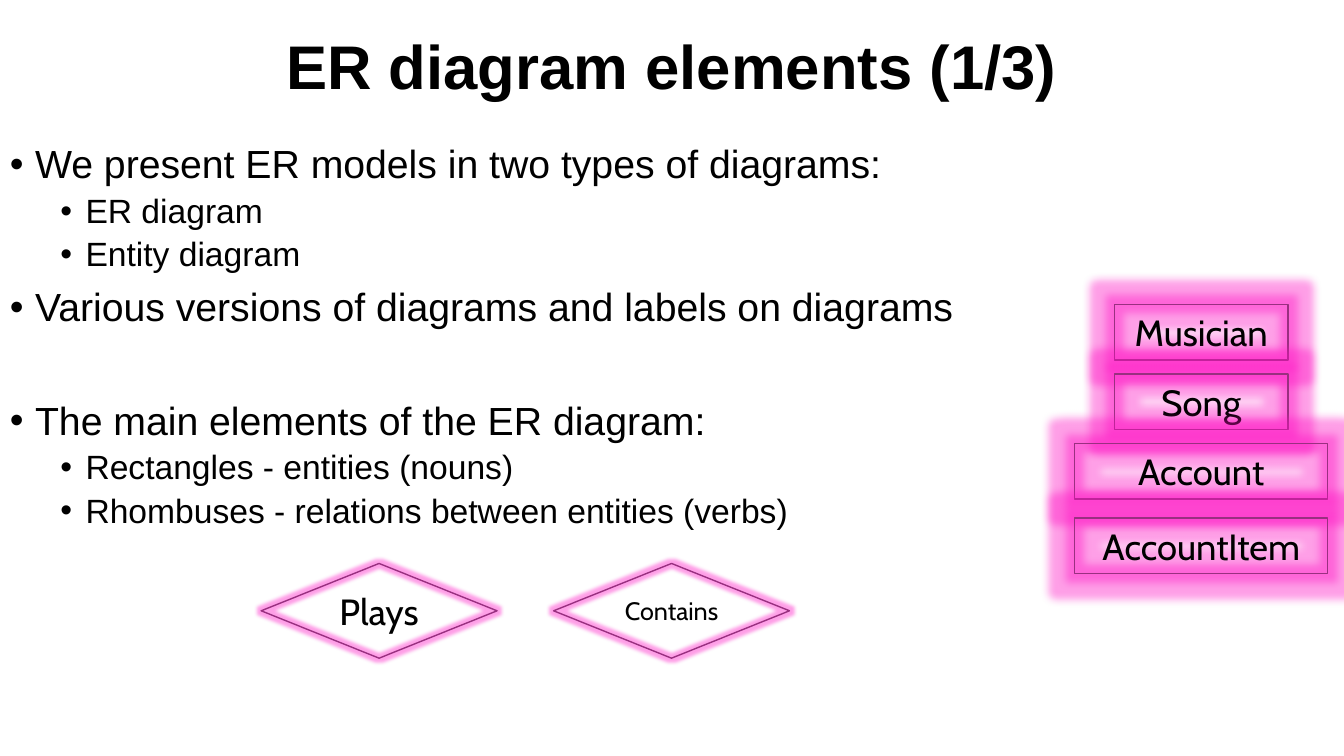
from dataclasses import dataclass

from lxml.etree import SubElement
from pptx import Presentation
from pptx.dml.color import RGBColor
from pptx.enum.shapes import MSO_SHAPE
from pptx.enum.text import MSO_ANCHOR, PP_ALIGN
from pptx.oxml.ns import qn
from pptx.util import Inches, Pt


@dataclass(frozen=True)
class Theme:
    """Colours, fonts and type sizes of the deck."""
    ink: RGBColor = RGBColor(0, 0, 0)
    outline: RGBColor = RGBColor(0x99, 0x30, 0x80)
    glow: str = "FF0FC4"
    glow_opacity: int = 40
    text_font: str = "Arial"
    label_font: str = "Cabin"
    title_size: int = 44
    bullet_sizes: tuple = (28, 24)
    bullet_gaps: tuple = (10, 5)
    section_gap: int = 51
    label_size: int = 26
    small_label_size: int = 18


@dataclass(frozen=True)
class Box:
    """A rectangle on the page."""
    left: int
    top: int
    width: int
    height: int

    def inner(self, left, top, width, height):
        """Return an inner box given in percent of this one."""
        return Box(int(self.left + self.width * left / 100),
                   int(self.top + self.height * top / 100),
                   int(self.width * width / 100),
                   int(self.height * height / 100))

    def frame(self):
        """Return the four lengths in the order shapes take them."""
        return self.left, self.top, self.width, self.height


THEME = Theme()


def style(font, name, size, bold=False):
    """Set the typeface, size and ink of a font."""
    font.name, font.size, font.bold = name, Pt(size), bold
    font.color.rgb = THEME.ink


def add_title(page, box, text):
    """Place the centred slide title."""
    frame = page.shapes.add_textbox(*box.frame()).text_frame
    frame.word_wrap = True
    frame.vertical_anchor = MSO_ANCHOR.MIDDLE
    frame.text = text
    para = frame.paragraphs[0]
    para.alignment, para.line_spacing = PP_ALIGN.CENTER, 0.9
    style(para.runs[0].font, THEME.text_font, THEME.title_size, bold=True)


def add_bullets(page, box, sections):
    """Place two-level bullets, with a wide gap between sections."""
    frame = page.shapes.add_textbox(*box.frame()).text_frame
    frame.word_wrap = True
    for section_index, section in enumerate(sections):
        for item_index, (level, text) in enumerate(section):
            first = section_index == item_index == 0
            para = frame.paragraphs[0] if first else frame.add_paragraph()
            para.text = text
            para.level, para.line_spacing = level, 0.9
            gap = THEME.bullet_gaps[level]
            if item_index == 0:
                gap = THEME.section_gap if section_index else 0
            para.space_before = Pt(gap)
            properties = para._p.get_or_add_pPr()
            properties.set("marL", str(Inches(0.25 + 0.5 * level)))
            properties.set("indent", str(Inches(-0.25)))
            SubElement(properties, qn("a:buFont"), typeface=THEME.text_font)
            SubElement(properties, qn("a:buChar"), char="•")
            style(para.runs[0].font, THEME.text_font, THEME.bullet_sizes[level])


def add_node(page, box, kind, label, size, glow_radius):
    """Place one outlined, glowing diagram element with its label."""
    node = page.shapes.add_shape(kind, *box.frame())
    node.shadow.inherit = False
    node.fill.background()
    node.line.color.rgb, node.line.width = THEME.outline, Pt(1)
    effects = node._element.spPr.find(qn("a:effectLst"))
    glow = SubElement(effects, qn("a:glow"), rad=str(Pt(glow_radius)))
    color = SubElement(glow, qn("a:srgbClr"), val=THEME.glow)
    SubElement(color, qn("a:alpha"), val=str(THEME.glow_opacity * 1000))
    frame = node.text_frame
    frame.text = label
    frame.vertical_anchor = MSO_ANCHOR.MIDDLE
    para = frame.paragraphs[0]
    para.alignment = PP_ALIGN.CENTER
    style(para.runs[0].font, THEME.label_font, size)


def add_entities(page, box, entities):
    """Stack entity rectangles, centred in the box."""
    for label, top, width in entities:
        place = box.inner((100 - width) / 2, top, width, 20.6)
        add_node(page, place, MSO_SHAPE.RECTANGLE, label, THEME.label_size, 12)


def add_relations(page, box, relations):
    """Set relation rhombuses side by side across the box."""
    width = 44.65
    pitch = (100 - width) / (len(relations) - 1)
    for index, (label, size) in enumerate(relations):
        place = box.inner(index * pitch, 0, width, 100)
        add_node(page, place, MSO_SHAPE.FLOWCHART_DECISION, label, size, 5)


def main():
    """Build the slide and save the deck."""
    deck = Presentation()
    deck.slide_width, deck.slide_height = Inches(13.33), Inches(7.5)
    page = deck.slides.add_slide(deck.slide_layouts[6])
    whole = Box(0, 0, deck.slide_width, deck.slide_height)
    add_title(page, whole.inner(12.5, 0, 75, 18.53), "ER diagram elements (1/3)")
    add_bullets(page, whole.inner(0, 18.53, 100, 74.53), [
        [(0, "We present ER models in two types of diagrams:"),
         (1, "ER diagram"),
         (1, "Entity diagram"),
         (0, "Various versions of diagrams and labels on diagrams")],
        [(0, "The main elements of the ER diagram:"),
         (1, "Rectangles - entities (nouns)"),
         (1, "Rhombuses - relations between entities (verbs)")],
    ])
    add_relations(page, whole.inner(19.43, 74.53, 39.31, 12.53), [
        ("Plays", THEME.label_size), ("Contains", THEME.small_label_size)])
    add_entities(page, whole.inner(79.97, 40.27, 18.83, 35.6), [
        ("Musician", 0, 68.5), ("Song", 25.85, 68.5),
        ("Account", 51.7, 100), ("AccountItem", 79.4, 100)])
    deck.save("out.pptx")


if __name__ == "__main__":
    main()
